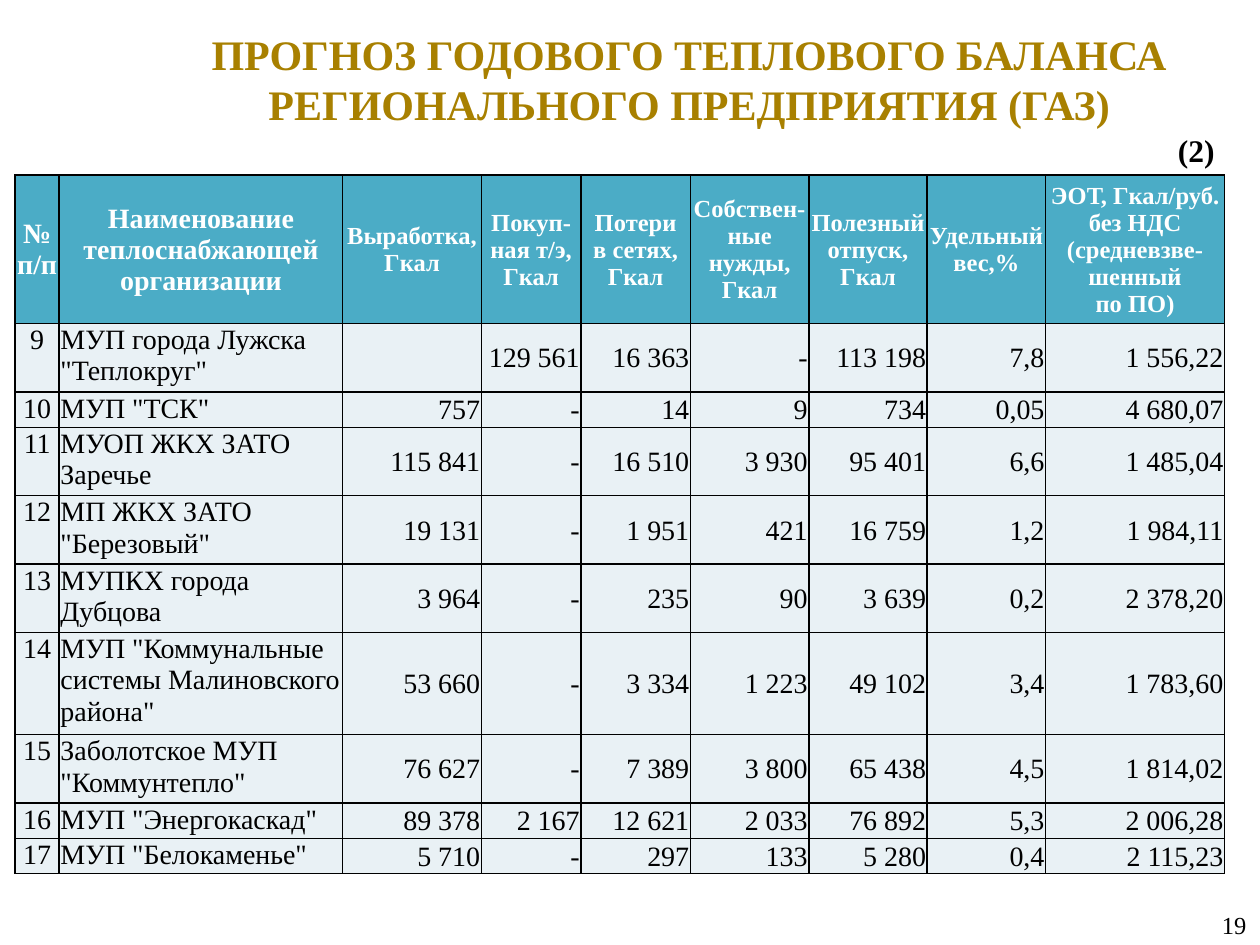
import pptx
import pptx.dml.color
import pptx.enum.text
import pptx.oxml
import pptx.oxml.ns
import pptx.util

Inches = pptx.util.Inches
ALIGN = pptx.enum.text.PP_ALIGN
ANCHOR = pptx.enum.text.MSO_ANCHOR

FONT = "Times New Roman"
BLACK, WHITE, GOLD = "000000", "FFFFFF", "A88000"
HEADER_FILL, BODY_FILL = "4BACC6", "E9F1F5"

COLUMN_WIDTHS = [0.35, 2.25, 1.1, 0.79, 0.87, 0.94, 0.94, 0.94, 1.42]
HEADER_HEIGHT = 1.17
HEIGHT_BY_LINES = {1: 0.28, 2: 0.54, 3: 0.81}

HEADERS = [
    "№ п/п", "Наименование теплоснабжающей организации", "Выработка, Гкал",
    "Покуп-ная т/э, Гкал", "Потери\nв сетях, Гкал", "Собствен-ные нужды, Гкал",
    "Полезный отпуск, Гкал", "Удельный вес,%",
    "ЭОТ, Гкал/руб. без НДС (средневзве-шенный\nпо ПО)",
]

# Lines of the name, then the row's cells after the running number
FIRST_NUMBER = 9
SUPPLIERS = [
    (2, 'МУП города Лужска "Теплокруг"', "", "129 561", "16 363", "-", "113 198", "7,8", "1 556,22"),
    (1, 'МУП "ТСК"', "757", "-", "14", "9", "734", "0,05", "4 680,07"),
    (2, "МУОП ЖКХ ЗАТО Заречье", "115 841", "-", "16 510", "3 930", "95 401", "6,6", "1 485,04"),
    (2, 'МП ЖКХ ЗАТО "Березовый"', "19 131", "-", "1 951", "421", "16 759", "1,2", "1 984,11"),
    (2, "МУПКХ города Дубцова", "3 964", "-", "235", "90", "3 639", "0,2", "2 378,20"),
    (3, 'МУП "Коммунальные системы Малиновского района"',
     "53 660", "-", "3 334", "1 223", "49 102", "3,4", "1 783,60"),
    (2, 'Заболотское МУП "Коммунтепло"',
     "76 627", "-", "7 389", "3 800", "65 438", "4,5", "1 814,02"),
    (1, 'МУП "Энергокаскад"', "89 378", "2 167", "12 621", "2 033", "76 892", "5,3", "2 006,28"),
    (1, 'МУП "Белокаменье"', "5 710", "-", "297", "133", "5 280", "0,4", "2 115,23"),
]


def rgb(value):
    return pptx.dml.color.RGBColor.from_string(value)


def set_attributes(target, values):
    for name, value in values.items():
        setattr(target, name, value)


def write_text(frame, text, size, color=BLACK, bold=False, align=ALIGN.LEFT):
    frame.text = text
    for para in frame.paragraphs:
        para.alignment = align
        for span in para.runs:
            set_attributes(span.font, {"name": FONT, "size": pptx.util.Pt(size), "bold": bold})
            span.font.color.rgb = rgb(color)


def add_title(page, text):
    title = page.shapes.title
    set_attributes(title, {"left": Inches(1.22), "top": Inches(-0.03),
                           "width": Inches(8.5), "height": Inches(1.31)})
    set_attributes(title.text_frame, {"word_wrap": True, "vertical_anchor": ANCHOR.MIDDLE})
    write_text(title.text_frame, text, 24, GOLD, True, ALIGN.CENTER)


def add_label(page, place, text, size, anchor=ANCHOR.TOP, bold=False):
    box = page.shapes.add_textbox(*map(Inches, place))
    set_attributes(box.text_frame, {"word_wrap": True, "vertical_anchor": anchor})
    write_text(box.text_frame, text, size, bold=bold)


def add_borders(cell):
    properties = cell._tc.get_or_add_tcPr()
    for side in ("lnL", "lnR", "lnT", "lnB"):
        properties.append(pptx.oxml.parse_xml(
            f'<a:{side} {pptx.oxml.ns.nsdecls("a")} w="12700"><a:solidFill>'
            f'<a:srgbClr val="{BLACK}"/></a:solidFill></a:{side}>'))


def format_cell(cell, fill, anchor):
    edge = Inches(0.01)
    set_attributes(cell, {"margin_left": edge, "margin_right": edge, "margin_top": edge,
                          "margin_bottom": 0, "vertical_anchor": anchor})
    add_borders(cell)
    cell.fill.solid()
    cell.fill.fore_color.rgb = rgb(fill)


def add_balance_table(page):
    heights = [HEADER_HEIGHT] + [HEIGHT_BY_LINES[supplier[0]] for supplier in SUPPLIERS]
    frame = page.shapes.add_table(
        len(heights), len(COLUMN_WIDTHS), Inches(0.12), Inches(1.39),
        Inches(sum(COLUMN_WIDTHS)), Inches(sum(heights)))
    table = frame.table
    set_attributes(table, {"first_row": False, "horz_banding": False})
    for column, width in zip(table.columns, COLUMN_WIDTHS):
        column.width = Inches(width)
    for row, height in zip(table.rows, heights):
        row.height = Inches(height)

    # Header row: the first two headings are larger
    for index, text in enumerate(HEADERS):
        cell = table.cell(0, index)
        format_cell(cell, HEADER_FILL, ANCHOR.MIDDLE)
        write_text(cell.text_frame, text, 16 if index < 2 else 14, WHITE, True, ALIGN.CENTER)

    # Supplier rows: number and name at the top, figures right and centred
    alignments = [ALIGN.CENTER, ALIGN.LEFT] + [ALIGN.RIGHT] * 7
    for row_index, (_, *values) in enumerate(SUPPLIERS, 1):
        number = str(FIRST_NUMBER + row_index - 1)
        for index, text in enumerate([number] + values):
            cell = table.cell(row_index, index)
            format_cell(cell, BODY_FILL, ANCHOR.TOP if index < 2 else ANCHOR.MIDDLE)
            write_text(cell.text_frame, text, 16, align=alignments[index])


def main():
    deck = pptx.Presentation()
    set_attributes(deck, {"slide_width": Inches(10), "slide_height": Inches(7.5)})
    page = deck.slides.add_slide(deck.slide_layouts[5])

    # Page number, table, title and part number
    add_label(page, (9.6, 7.17, 0.4, 0.34), "19", 14, ANCHOR.MIDDLE)
    add_balance_table(page)
    add_title(page, "ПРОГНОЗ ГОДОВОГО ТЕПЛОВОГО БАЛАНСА РЕГИОНАЛЬНОГО ПРЕДПРИЯТИЯ (ГАЗ)")
    add_label(page, (9.25, 0.99, 0.55, 0.4), "(2)", 18, bold=True)

    deck.save("out.pptx")


if __name__ == "__main__":
    main()
